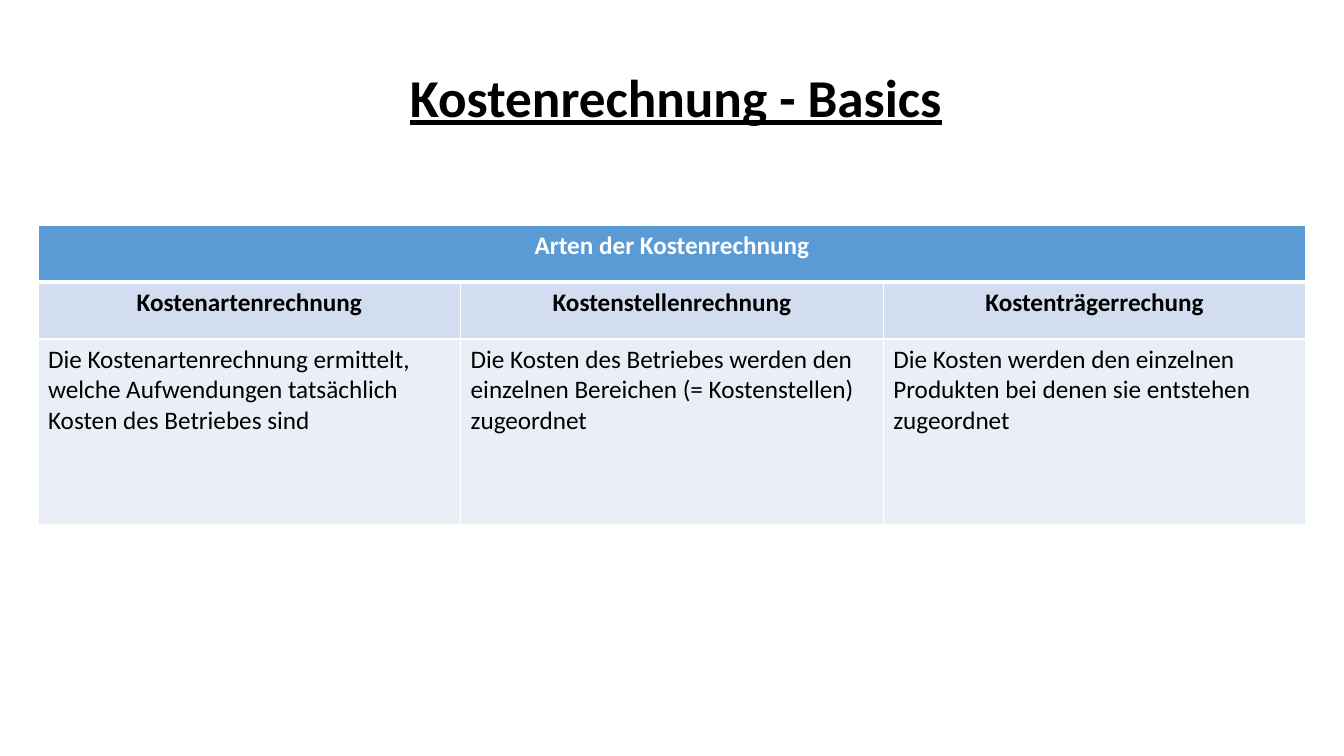
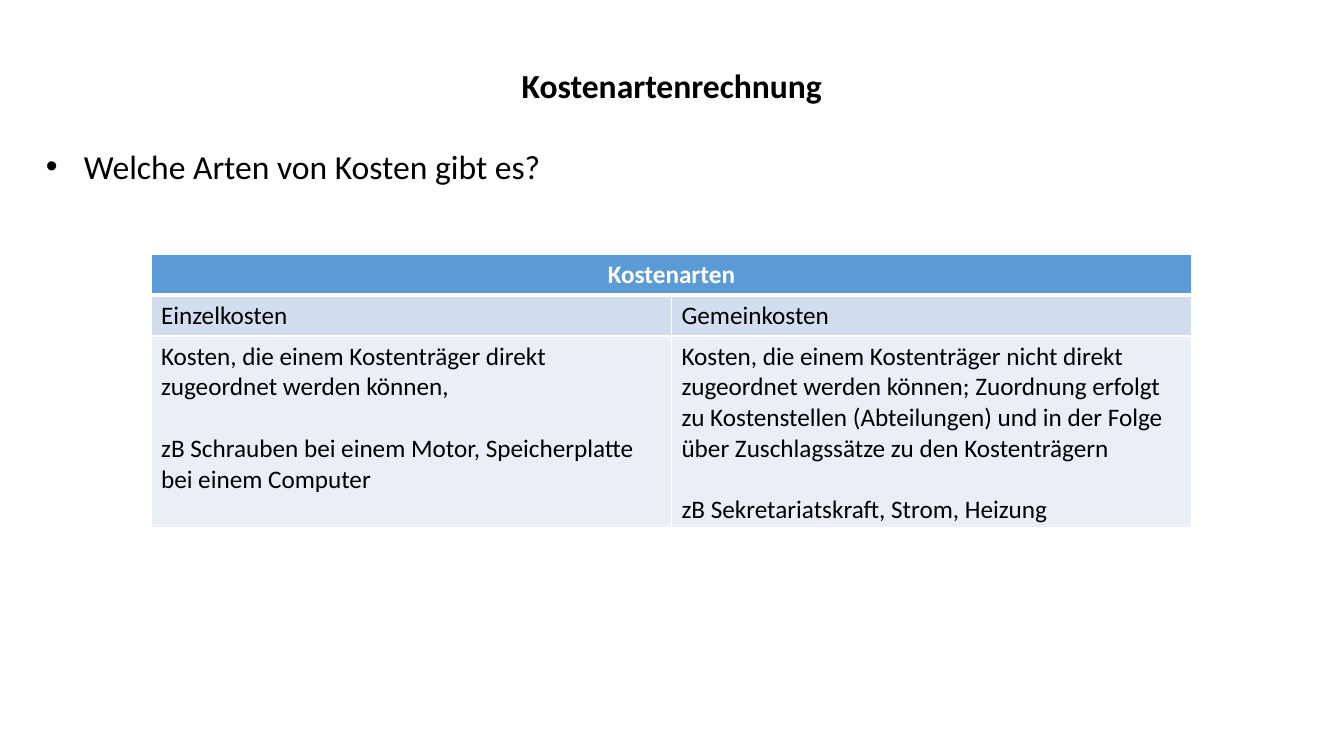
from lxml.etree import SubElement
from pptx import Presentation
from pptx.dml.color import RGBColor as RGB
from pptx.enum.text import PP_ALIGN as Align
from pptx.oxml import parse_xml
from pptx.oxml.ns import nsdecls, qn
from pptx.util import Pt

SCALE = 914400 / 100.8
WIDE, HIGH = 1344, 756
FONT = "Calibri"
BLACK = RGB(0x00, 0x00, 0x00)
WHITE = RGB(0xFF, 0xFF, 0xFF)
BLUE = RGB(0x5B, 0x9B, 0xD5)
PALE = RGB(0xD2, 0xDE, 0xEF)
LIGHT = RGB(0xEA, 0xEF, 0xF7)
FILLS = (BLUE, PALE, LIGHT)
LINE = 1.22  # height of a text line, in font sizes


def px(num):
    """Turn pixels into EMU."""
    return round(num * SCALE)


def add_run(para, text, size, color=BLACK, bold=False, under=False):
    """Add one styled run to a paragraph."""
    run = para.add_run()
    run.text = text
    font = run.font
    font.name, font.size, font.bold = FONT, Pt(size), bold
    font.color.rgb = color
    if under:
        font.underline = True


def add_box(slide, left, top, width, height):
    """Add a wrapping text box and return its frame."""
    box = slide.shapes.add_textbox(px(left), px(top), px(width), px(height))
    box.text_frame.word_wrap = True
    return box.text_frame


def add_title(frame, text, size, under=False):
    """Write a centred bold title in the first paragraph."""
    para = frame.paragraphs[0]
    para.alignment = Align.CENTER
    add_run(para, text, size, bold=True, under=under)


def add_bullet(frame, text, size):
    """Add a bullet paragraph one line below the text before it."""
    para = frame.add_paragraph()
    para.space_before = Pt(round(size * LINE))
    add_run(para, text, size)
    props = para._p.get_or_add_pPr()
    props.set("marL", str(px(38)))
    props.set("indent", str(px(-38)))
    SubElement(props, qn("a:buFont")).set("typeface", "Arial")
    SubElement(props, qn("a:buChar")).set("char", "•")


def set_edges(cell, row):
    """Draw white cell borders, thick below the header row."""
    sides = {"L": 1, "R": 1, "T": 3 if row == 1 else 1, "B": 3 if row == 0 else 1}
    props = cell._tc.get_or_add_tcPr()
    for spot, (side, width) in enumerate(sides.items()):
        props.insert(spot, parse_xml(
            f'<a:ln{side} {nsdecls("a")} w="{Pt(width)}"><a:solidFill>'
            f'<a:srgbClr val="{WHITE}"/></a:solidFill></a:ln{side}>'))


def fill_cell(cell, text, color, bold, center):
    """Write the lines of a cell, one paragraph each, a line apart."""
    frame = cell.text_frame
    for num, line in enumerate(text.split("\n")):
        para = frame.add_paragraph() if num else frame.paragraphs[0]
        if num:
            para.space_before = Pt(22)
        if center:
            para.alignment = Align.CENTER
        add_run(para, line, 18, color, bold)


def add_grid(slide, left, top, width, highs, head, names, texts, strong=False):
    """Add a table: merged header, a row of names, a row of texts."""
    count = len(names)
    table = slide.shapes.add_table(
        3, count, px(left), px(top), px(width), px(sum(highs))).table
    for col in table.columns:
        col.width = px(width / count)
    rows = ([head], names, texts)
    for num, (high, fill, row) in enumerate(zip(highs, FILLS, rows)):
        table.rows[num].height = px(high)
        for spot in range(count):
            cell = table.cell(num, spot)
            cell.fill.solid()
            cell.fill.fore_color.rgb = fill
            set_edges(cell, num)
        for spot, text in enumerate(row):
            bold = num == 0 or (strong and num == 1)
            fill_cell(table.cell(num, spot), text,
                      BLACK if num else WHITE, bold, bold)
    table.cell(0, 0).merge(table.cell(0, count - 1))


def add_basics(slide):
    """Build the slide on the kinds of cost accounting."""
    add_title(add_box(slide, 128, 59, 1096, 75), "Kostenrechnung - Basics", 38, True)
    add_grid(
        slide, 38, 225, 1268, (57, 57, 186), "Arten der Kostenrechnung",
        ("Kostenartenrechnung", "Kostenstellenrechnung", "Kostenträgerrechung"),
        ("Die Kostenartenrechnung ermittelt, welche Aufwendungen tatsächlich "
         "Kosten des Betriebes sind",
         "Die Kosten des Betriebes werden den einzelnen Bereichen "
         "(= Kostenstellen) zugeordnet",
         "Die Kosten werden den einzelnen Produkten bei denen sie entstehen "
         "zugeordnet"),
        strong=True)


def add_kinds(slide):
    """Build the slide on direct and overhead costs."""
    frame = add_box(slide, 36, 60, 1272, 696)
    add_title(frame, "Kostenartenrechnung", 24)
    add_bullet(frame, "Welche Arten von Kosten gibt es?", 24)
    add_grid(
        slide, 151, 254, 1041, (41, 41, 191), "Kostenarten",
        ("Einzelkosten", "Gemeinkosten"),
        ("Kosten, die einem Kostenträger direkt zugeordnet werden können,\n"
         "zB Schrauben bei einem Motor, Speicherplatte bei einem Computer",
         "Kosten, die einem Kostenträger nicht direkt zugeordnet werden können; "
         "Zuordnung erfolgt zu Kostenstellen (Abteilungen) und in der Folge "
         "über Zuschlagssätze zu den Kostenträgern\n"
         "zB Sekretariatskraft, Strom, Heizung"))


def main():
    """Build both slides and save them."""
    deck = Presentation()
    deck.slide_width, deck.slide_height = px(WIDE), px(HIGH)
    for build in (add_basics, add_kinds):
        build(deck.slides.add_slide(deck.slide_layouts[6]))
    deck.save("out.pptx")


main()
